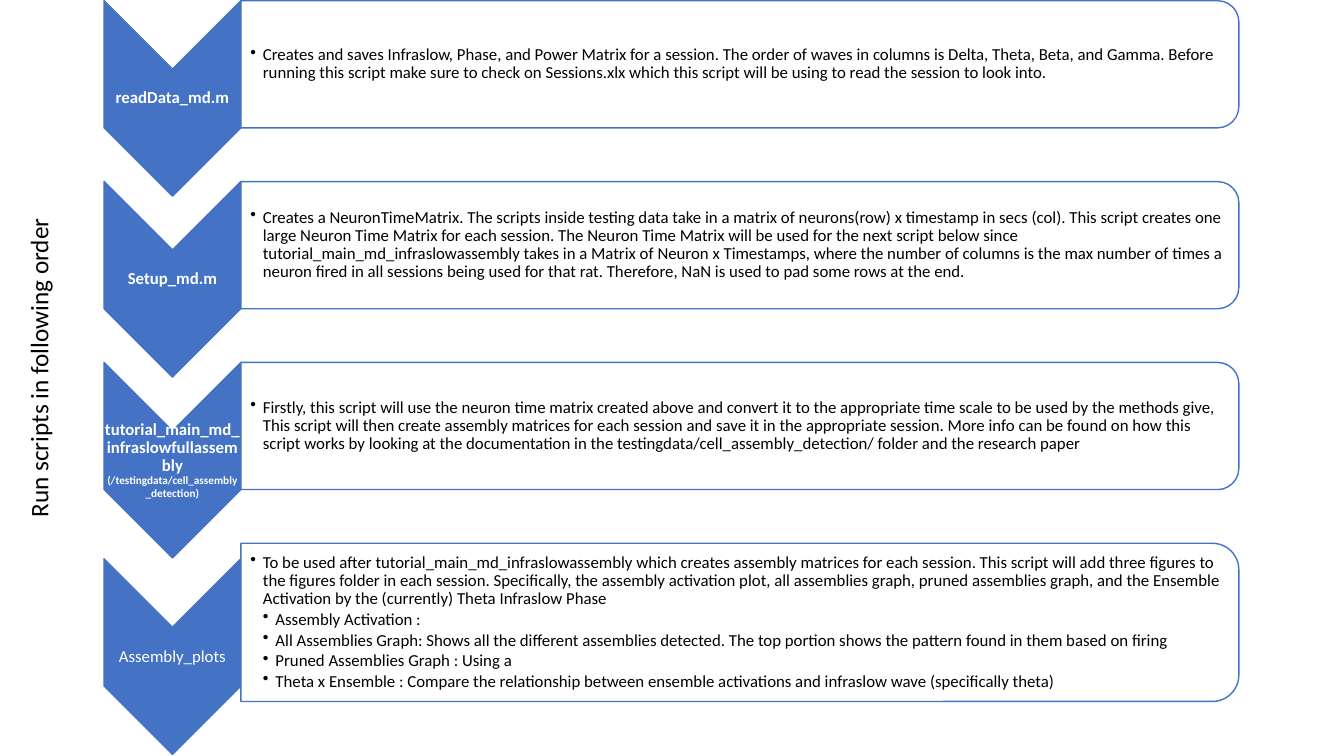
"""Builds a slide listing four analysis scripts in the order they are run."""
from dataclasses import dataclass

from lxml import etree
from pptx import Presentation
from pptx.dml.color import RGBColor
from pptx.enum.shapes import MSO_SHAPE
from pptx.enum.text import MSO_ANCHOR, PP_ALIGN
from pptx.oxml.ns import qn
from pptx.util import Pt

CHEVRON = MSO_SHAPE.CHEVRON
ROUND_TOP = MSO_SHAPE.ROUND_2_SAME_RECTANGLE
MIDDLE = MSO_ANCHOR.MIDDLE
CENTER = PP_ALIGN.CENTER

COLORS = {"blue": "4472C4", "white": "FFFFFF", "black": "000000"}
FONT = "Calibri"
TEXT_SIZE = 12
PANEL_TOP = 0.5
PANEL_PITCH = 129.2
PANEL_LEFT = 172.1
PANEL_WIDTH = 712.8
CORNER_SHARE = 0.0488
CHEVRON_CENTER = 123.2
CHEVRON_DROP = 24.4
CHEVRON_LENGTH = 139.7
CHEVRON_WIDTH = 97.8
LABEL_HEIGHT = 41.9
INDENT = 9


@dataclass(frozen=True)
class Span:
    text: str
    size: float = TEXT_SIZE
    color: str = "white"
    bold: bool = False


@dataclass(frozen=True)
class Step:
    label: tuple[Span, ...]
    summary: str
    details: tuple[str, ...] = ()
    height: float = 90.8


STEPS = (
    Step(
        (Span("readData_md.m", bold=True),),
        "Creates and saves Infraslow, Phase, and Power Matrix for a session. "
        "The order of waves in columns is Delta, Theta, Beta, and Gamma. "
        "Before running this script make sure to check on Sessions.xlx which "
        "this script will be using to read the session to look into.",
    ),
    Step(
        (Span("Setup_md.m", bold=True),),
        "Creates a NeuronTimeMatrix. The scripts inside testing data take in a "
        "matrix of neurons(row) x timestamp in secs (col). This script creates "
        "one large Neuron Time Matrix for each session. The Neuron Time Matrix "
        "will be used for the next script below since "
        "tutorial_main_md_infraslowassembly takes in a Matrix of Neuron x "
        "Timestamps, where the number of columns is the max number of times a "
        "neuron fired in all sessions being used for that rat. Therefore, NaN "
        "is used to pad some rows at the end.",
    ),
    Step(
        (
            Span("tutorial_main_md_infraslowfullassembly ", bold=True),
            Span("(/testingdata/cell_assembly_detection)", size=8, bold=True),
        ),
        "Firstly, this script will use the neuron time matrix created above and "
        "convert it to the appropriate time scale to be used by the methods "
        "give, This script will then create assembly matrices for each session "
        "and save it in the appropriate session. More info can be found on how "
        "this script works by looking at the documentation in the "
        "testingdata/cell_assembly_detection/ folder and the research paper",
    ),
    Step(
        (Span("Assembly_plots"),),
        "To be used after tutorial_main_md_infraslowassembly which creates "
        "assembly matrices for each session. This script will add three figures "
        "to the figures folder in each session. Specifically, the assembly "
        "activation plot, all assemblies graph, pruned assemblies graph, and "
        "the Ensemble Activation by the (currently) Theta Infraslow Phase",
        (
            "Assembly Activation :",
            "All Assemblies Graph: Shows all the different assemblies detected. "
            "The top portion shows the pattern found in them based on firing",
            "Pruned Assemblies Graph : Using a",
            "Theta x Ensemble : Compare the relationship between ensemble "
            "activations and infraslow wave (specifically theta)",
        ),
        height=113,
    ),
)


def rgb(name: str) -> RGBColor:
    return RGBColor.from_string(COLORS[name])


def add_turned_shape(page, kind, center_x: float, center_y: float,
                     length: float, breadth: float, fill: str):
    shape = page.shapes.add_shape(
        kind, Pt(center_x - length / 2), Pt(center_y - breadth / 2),
        Pt(length), Pt(breadth))
    shape.rotation = 90
    shape.shadow.inherit = False
    shape.fill.solid()
    shape.fill.fore_color.rgb = rgb(fill)
    shape.line.color.rgb = rgb("blue")
    shape.line.width = Pt(1)
    return shape


def add_text_frame(page, left: float, top: float, width: float, height: float,
                   left_inset: float):
    box = page.shapes.add_textbox(Pt(left), Pt(top), Pt(width), Pt(height))
    frame = box.text_frame
    frame.word_wrap = True
    frame.vertical_anchor = MIDDLE
    frame.margin_left = Pt(left_inset)
    frame.margin_right = frame.margin_top = frame.margin_bottom = Pt(0.6)
    return frame


def add_span(para, span: Span) -> None:
    run = para.add_run()
    run.text = span.text
    run.font.name = FONT
    run.font.size = Pt(span.size)
    run.font.bold = span.bold
    run.font.color.rgb = rgb(span.color)


def add_bullet(para, text: str, level: int) -> None:
    para.level = level
    para.line_spacing = 0.9
    para.space_after = Pt(1.8)
    properties = para._p.get_or_add_pPr()
    properties.set("marL", str(Pt(INDENT * level)))
    properties.set("indent", str(Pt(-INDENT)))
    etree.SubElement(properties, qn("a:buChar")).set("char", "•")
    add_span(para, Span(text, color="black"))


def add_label(page, step: Step, center_y: float) -> None:
    add_turned_shape(page, CHEVRON, CHEVRON_CENTER, center_y,
                     CHEVRON_LENGTH, CHEVRON_WIDTH, "blue")
    frame = add_text_frame(page, CHEVRON_CENTER - CHEVRON_WIDTH / 2,
                           center_y - LABEL_HEIGHT / 2,
                           CHEVRON_WIDTH, LABEL_HEIGHT, 0.6)
    para = frame.paragraphs[0]
    para.alignment = CENTER
    para.line_spacing = 0.9
    para.space_after = Pt(4.2)
    for span in step.label:
        add_span(para, span)


def add_panel(page, step: Step, center_y: float) -> None:
    panel = add_turned_shape(page, ROUND_TOP, PANEL_LEFT + PANEL_WIDTH / 2,
                             center_y, step.height, PANEL_WIDTH, "white")
    color = panel.element.spPr.find(qn("a:solidFill"))[0]
    etree.SubElement(color, qn("a:alpha")).set("val", "90000")
    corner = CORNER_SHARE * step.height
    text_height = step.height - 2 * corner
    frame = add_text_frame(page, PANEL_LEFT, center_y - text_height / 2,
                           PANEL_WIDTH - corner, text_height, 6.7)
    add_bullet(frame.paragraphs[0], step.summary, 1)
    for detail in step.details:
        add_bullet(frame.add_paragraph(), detail, 2)


def add_side_title(page, text: str) -> None:
    box = page.shapes.add_textbox(Pt(13), Pt(63.4), Pt(36), Pt(399))
    box.text_frame.word_wrap = True
    box.element.txBody.bodyPr.set("vert", "vert270")
    para = box.text_frame.paragraphs[0]
    para.alignment = CENTER
    add_span(para, Span(text, size=18, color="black"))


def main() -> None:
    deck = Presentation()
    deck.slide_width, deck.slide_height = Pt(960), Pt(540)
    page = deck.slides.add_slide(deck.slide_layouts[6])
    for index, step in enumerate(STEPS):
        center_y = PANEL_TOP + index * PANEL_PITCH + step.height / 2
        add_label(page, step, center_y + CHEVRON_DROP)
        add_panel(page, step, center_y)
    add_side_title(page, "Run scripts in following order")
    deck.save("out.pptx")


if __name__ == "__main__":
    main()
